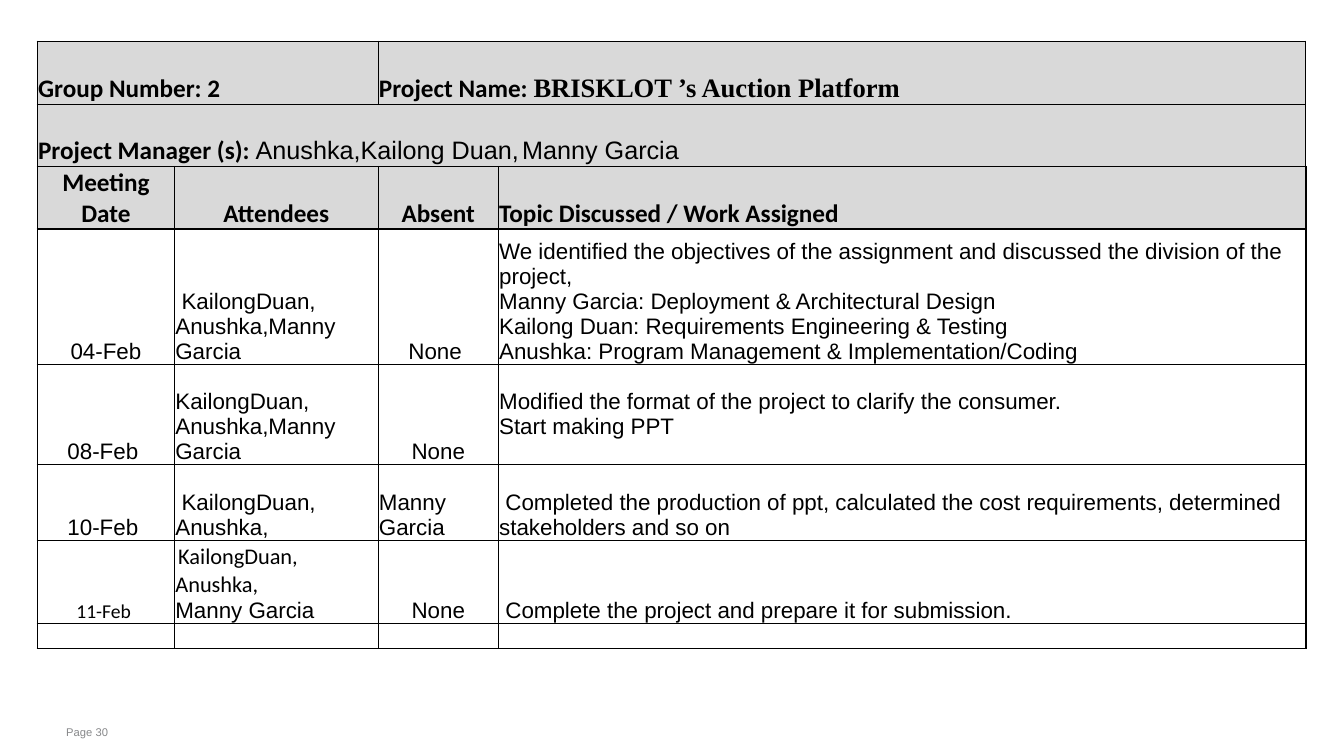
from dataclasses import dataclass

from lxml.etree import SubElement
from pptx import Presentation
from pptx.dml.color import RGBColor
from pptx.enum.text import MSO_ANCHOR as Anchor, PP_ALIGN as Align
from pptx.oxml.ns import qn
from pptx.util import Cm, Pt


@dataclass(frozen=True)
class Run:
    text: str
    size: float = 16
    font: str = "Arial"
    bold: bool = False


@dataclass(frozen=True)
class Entry:
    lines: tuple
    centered: bool = False
    bottom: float = 0


def color(value: str) -> RGBColor:
    return RGBColor.from_string(value)


def plain(*texts: str, bottom: float = 0) -> Entry:
    return Entry(tuple((Run(text),) for text in texts), bottom=bottom)


def centered(text: str) -> Entry:
    return Entry(((Run(text),),), centered=True)


def label(text: str) -> Run:
    return Run(text, 18, "Calibri", True)


def heading(*runs: Run, center: bool = False) -> Entry:
    return Entry((runs,), center)


def write(p, runs: tuple, tint: str = "000000") -> None:
    p.text = runs[0].text
    for run in runs[1:]:
        p.add_run().text = run.text
    for r, run in zip(p.runs, runs):
        r.font.size = Pt(run.size)
        r.font.name = run.font
        r.font.bold = run.bold
        r.font.color.rgb = color(tint)


def add_border(cell, side: str, width: float) -> None:
    ln = SubElement(cell._tc.get_or_add_tcPr(), qn(f"a:{side}"), w=str(Pt(width)))
    fill = SubElement(ln, qn("a:solidFill"))
    SubElement(fill, qn("a:srgbClr"), val="000000")


def style_cell(cell, row: int, col: int) -> None:
    strong = {
        "lnL": col == 0,
        "lnR": col == len(WIDTHS) - 1,
        "lnT": row in (0, HEADER_ROWS),
        "lnB": row in (HEADER_ROWS - 1, len(HEIGHTS) - 1),
    }
    for side, outer in strong.items():
        add_border(cell, side, 1 if outer else 0.75)
    cell.fill.solid()
    cell.fill.fore_color.rgb = color("D9D9D9" if row < HEADER_ROWS else "FFFFFF")
    cell.vertical_anchor = Anchor.BOTTOM
    cell.margin_left = cell.margin_right = cell.margin_top = Cm(0.02)
    cell.margin_bottom = 0


def fill_cell(cell, entry: Entry) -> None:
    tf = cell.text_frame
    for i, runs in enumerate(entry.lines):
        p = tf.add_paragraph() if i else tf.paragraphs[0]
        write(p, runs)
        p.alignment = Align.CENTER if entry.centered else Align.LEFT
    cell.margin_bottom = Cm(entry.bottom)


WIDTHS = (3.46, 5.13, 3.03, 20.35)
HEIGHTS = (1.59, 1.56, 1.58, 3.15, 2.52, 1.92, 2.09, 0.63)
HEADER_ROWS = 3
MERGES = (((0, 0), (0, 1)), ((0, 2), (0, 3)), ((1, 0), (1, 3)))

ROWS = (
    (
        heading(label("Group Number: 2")),
        None,
        heading(
            label("Project Name: "),
            Run("BRISKLOT ’s Auction Platform", 19, "Times New Roman", True),
        ),
        None,
    ),
    (
        heading(
            label("Project Manager (s): "),
            Run("Anushka,Kailong Duan,", 18),
            Run(" ", 8),
            Run("Manny Garcia", 18),
        ),
        None,
        None,
        None,
    ),
    (
        heading(label("Meeting Date"), center=True),
        heading(label("Attendees"), center=True),
        heading(label("Absent"), center=True),
        heading(label("Topic Discussed / Work Assigned")),
    ),
    (
        centered("04-Feb"),
        plain(" KailongDuan, Anushka,Manny Garcia"),
        centered("None "),
        plain(
            "We identified the objectives of the assignment and discussed the division of the project,",
            "Manny Garcia: Deployment & Architectural Design",
            "Kailong Duan: Requirements Engineering & Testing",
            "Anushka: Program Management & Implementation/Coding",
        ),
    ),
    (
        centered("08-Feb "),
        plain("KailongDuan, Anushka,Manny Garcia"),
        centered("None"),
        plain(
            "Modified the format of the project to clarify the consumer.",
            "Start making PPT",
            bottom=0.63,
        ),
    ),
    (
        centered("10-Feb "),
        plain(" KailongDuan, Anushka,"),
        plain("Manny Garcia"),
        plain(
            " Completed the production of ppt, calculated the cost requirements, "
            "determined stakeholders and so on"
        ),
    ),
    (
        heading(Run("11-Feb ", 14, "Calibri"), center=True),
        Entry((
            (Run(" ", 9, "Calibri"), Run("KailongDuan, Anushka,", 16, "Calibri")),
            (Run("Manny Garcia"),),
        )),
        centered("None"),
        plain(" Complete the project and prepare it for submission."),
    ),
    (None, None, None, None),
)


def add_meeting_log(s) -> None:
    frame = s.shapes.add_table(
        len(HEIGHTS), len(WIDTHS), Cm(0.94), Cm(1.04), Cm(sum(WIDTHS)), Cm(sum(HEIGHTS))
    )
    table = frame.table
    table.first_row = table.horz_banding = False
    for column, width in zip(table.columns, WIDTHS):
        column.width = Cm(width)
    for row, height in zip(table.rows, HEIGHTS):
        row.height = Cm(height)
    for start, end in MERGES:
        table.cell(*start).merge(table.cell(*end))
    for row, entries in enumerate(ROWS):
        for col, entry in enumerate(entries):
            cell = table.cell(row, col)
            style_cell(cell, row, col)
            if entry:
                fill_cell(cell, entry)
            else:
                p = cell.text_frame.paragraphs[0]
                SubElement(p._p, qn("a:endParaRPr"), sz="1200")


def add_page_number(s) -> None:
    sp = s.shapes.add_textbox(Cm(1.47), Cm(18.14), Cm(27.4), Cm(0.6))
    tf = sp.text_frame
    tf.word_wrap = True
    tf.vertical_anchor = Anchor.MIDDLE
    tf.margin_left = tf.margin_right = Cm(0.2)
    tf.margin_top = tf.margin_bottom = Cm(0.13)
    write(tf.paragraphs[0], (Run("Page 30", 8),), "87888A")


def main() -> None:
    prs = Presentation()
    prs.slide_width, prs.slide_height = Cm(33.87), Cm(19.05)
    s = prs.slides.add_slide(prs.slide_layouts[6])
    add_page_number(s)
    add_meeting_log(s)
    prs.save("out.pptx")


if __name__ == "__main__":
    main()
